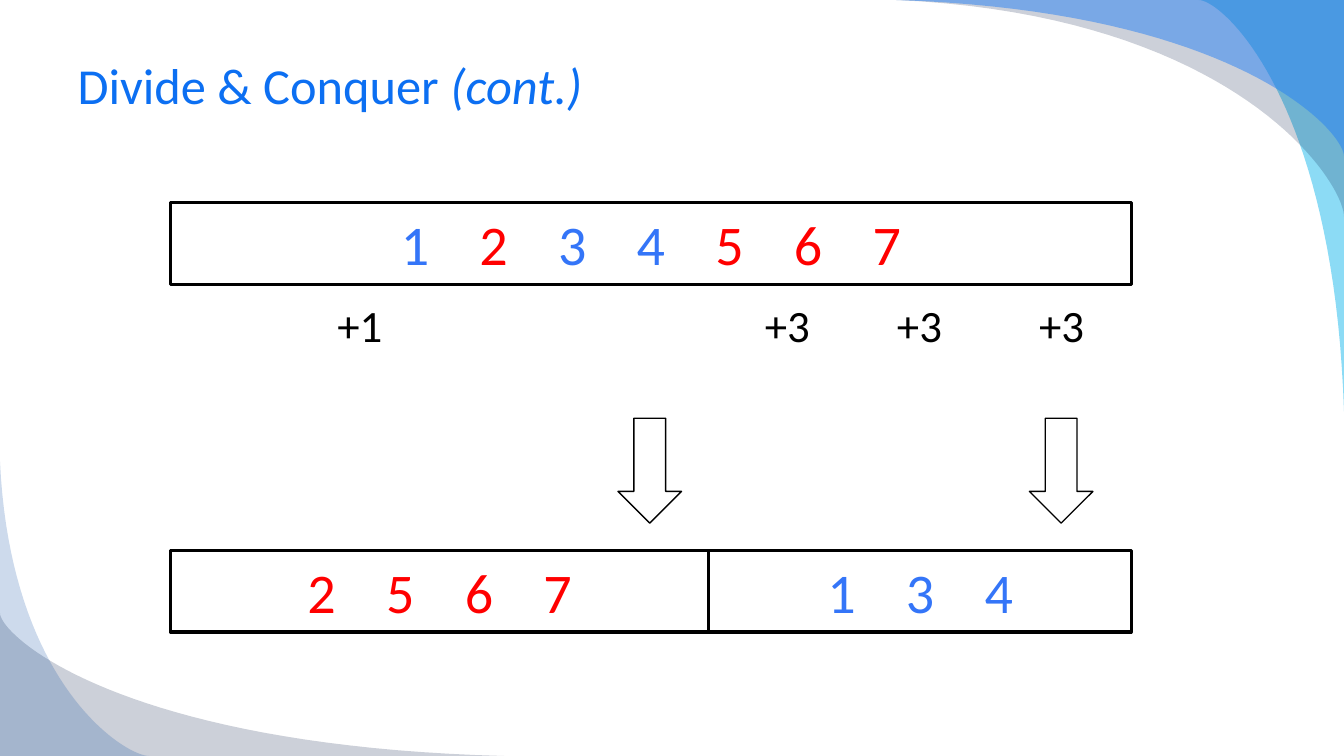
from lxml import etree
from pptx import Presentation
from pptx.dml.color import RGBColor
from pptx.enum.shapes import MSO_SHAPE
from pptx.enum.text import MSO_ANCHOR, MSO_AUTO_SIZE, PP_ALIGN
from pptx.oxml.ns import qn
from pptx.util import Inches, Pt

RECT, ARROW = MSO_SHAPE.RECTANGLE, MSO_SHAPE.DOWN_ARROW
MIDDLE, FIXED = MSO_ANCHOR.MIDDLE, MSO_AUTO_SIZE.NONE
LEFT, CENTER = PP_ALIGN.LEFT, PP_ALIGN.CENTER

WHITE = RGBColor(0xFF, 0xFF, 0xFF)
BLACK = RGBColor(0, 0, 0)
RED = RGBColor(0xFF, 0, 0)
BLUE = RGBColor(0x34, 0x75, 0xF8)
TITLE = RGBColor(0x0C, 0x6F, 0xF2)
CYAN = RGBColor(0x00, 0xB1, 0xE9)
NAVY = RGBColor(0x02, 0x17, 0x41)
SKY = RGBColor(0x24, 0x7F, 0xF4)
ROYAL = RGBColor(0x08, 0x4A, 0xA1)

WIDE, HIGH = 13.33, 7.5
DIGIT, PITCH = 0.28, 0.78  # width of a digit, step between digits
STEPS = 40


def add_run(par, text, size, color):
    run = par.add_run()
    run.text = text
    run.font.name = "Calibri"
    run.font.size = Pt(size)
    run.font.color.rgb = color
    return run


def add_box(kind, left, top, width, height, line):
    """Add a white preset shape with a black outline."""
    box = slide.shapes.add_shape(
        kind, Inches(left), Inches(top), Inches(width), Inches(height))
    box.shadow.inherit = False
    box.fill.solid()
    box.fill.fore_color.rgb = WHITE
    box.line.color.rgb = BLACK
    box.line.width = Pt(line)
    return box


prs = Presentation()
prs.slide_width, prs.slide_height = Inches(WIDE), Inches(HIGH)
slide = prs.slides.add_slide(prs.slide_layouts[5])

# Corner wings: one Bezier curve, stretched from tip to end
curve = []
for i in range(STEPS + 1):
    t = i / STEPS
    b1, b2, b3 = 3 * t * (1 - t) ** 2, 3 * t * t * (1 - t), t ** 3
    curve.append((0.76 * b1 + b2 + b3, 0.07 * b1 + 0.84 * b2 + b3))

# tip, end, upright, colour, opacity in percent
wings = [
    ((WIDE, 4.08), (11.89, 0), True, CYAN, 45),
    ((8.89, 0), (WIDE, 2.15), False, NAVY, 20),
    ((8.89, 0), (WIDE, 1.55), False, SKY, 49),
    ((5, HIGH), (0, 6.08), False, NAVY, 20),
    ((0, 4.58), (1.48, HIGH), True, ROYAL, 20),
]
for (x0, y0), (x1, y1), upright, color, alpha in wings:
    points = [(x1, y0)]
    if upright:
        points = [(x0, y1)]
    for u, v in curve:
        if upright:
            u, v = v, u
        points.append((x0 + u * (x1 - x0), y0 + v * (y1 - y0)))
    points = [(Inches(x), Inches(y)) for x, y in points]
    pen = slide.shapes.build_freeform(*points[0], scale=1.0)
    pen.add_line_segments(points[1:], close=True)
    wing = pen.convert_to_shape()
    wing.shadow.inherit = False
    wing.fill.solid()
    wing.fill.fore_color.rgb = color
    wing.line.fill.background()
    tint = wing.fill._xPr.find(qn("a:solidFill"))[0]
    etree.SubElement(tint, qn("a:alpha"), val=str(alpha * 1000))

# Title
title = slide.shapes.title
title.left, title.top = Inches(0.67), Inches(0.33)
title.width, title.height = Inches(12), Inches(1.01)
frame = title.text_frame
frame.auto_size = FIXED
frame.vertical_anchor = MIDDLE
par = frame.paragraphs[0]
par.alignment = LEFT
add_run(par, "Divide & Conquer ", 36, TITLE)
add_run(par, "(cont.)", 36, TITLE).font.italic = True

# Arrays: digits stand on tab stops, centred through the left inset
bars = [(1.69, 2.01, 9.53, "1234567"), (1.69, 5.46, 5.34, "2567"),
        (7.03, 5.46, 4.19, "134")]
for left, top, width, digits in bars:
    bar = add_box(RECT, left, top, width, 0.81, 2.25)
    frame = bar.text_frame
    frame.vertical_anchor = MIDDLE
    gaps = len(digits) - 1
    frame.margin_left = Inches((width - DIGIT - gaps * PITCH) / 2)
    frame.margin_right = 0
    par = frame.paragraphs[0]
    par.alignment = LEFT
    tabs = etree.SubElement(par._p.get_or_add_pPr(), qn("a:tabLst"))
    for i, digit in enumerate(digits):
        if i < gaps:
            etree.SubElement(tabs, qn("a:tab"), algn="l",
                             pos=str(Inches((i + 1) * PITCH)))
            digit += "\t"
        add_run(par, digit, 40, RED if digit[0] in "2567" else BLUE)

for left in (10.21, 6.13):
    add_box(ARROW, left, 4.15, 0.63, 1.04, 1)

# Inversions counted for each red digit
for left, count in ((3.07, "+1"), (7.31, "+3"), (8.62, "+3"), (10.03, "+3")):
    note = slide.shapes.add_textbox(
        Inches(left), Inches(2.9), Inches(1), Inches(0.58))
    note.text_frame.word_wrap = True
    par = note.text_frame.paragraphs[0]
    par.alignment = CENTER
    add_run(par, count, 32, BLACK)

prs.save("out.pptx")
